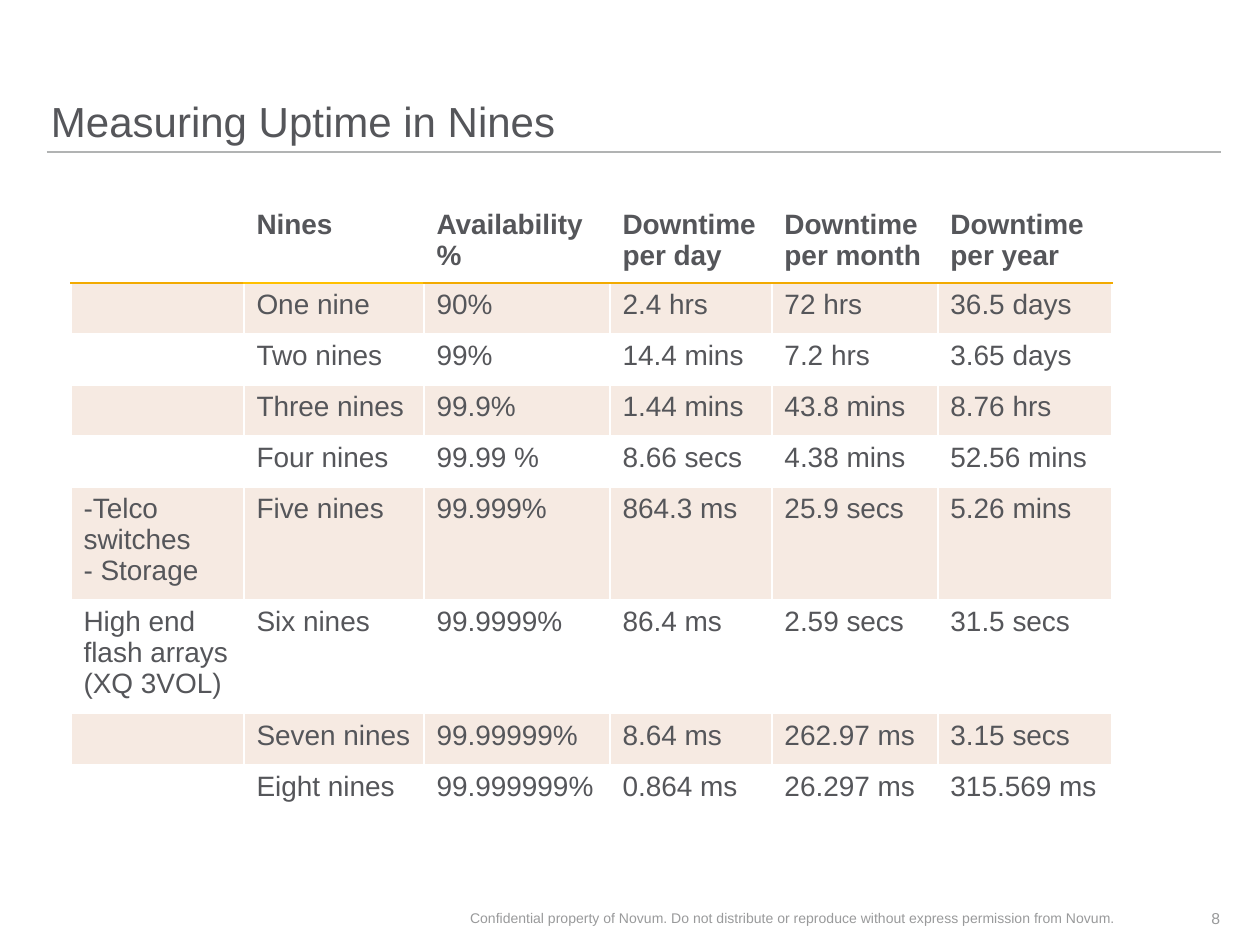
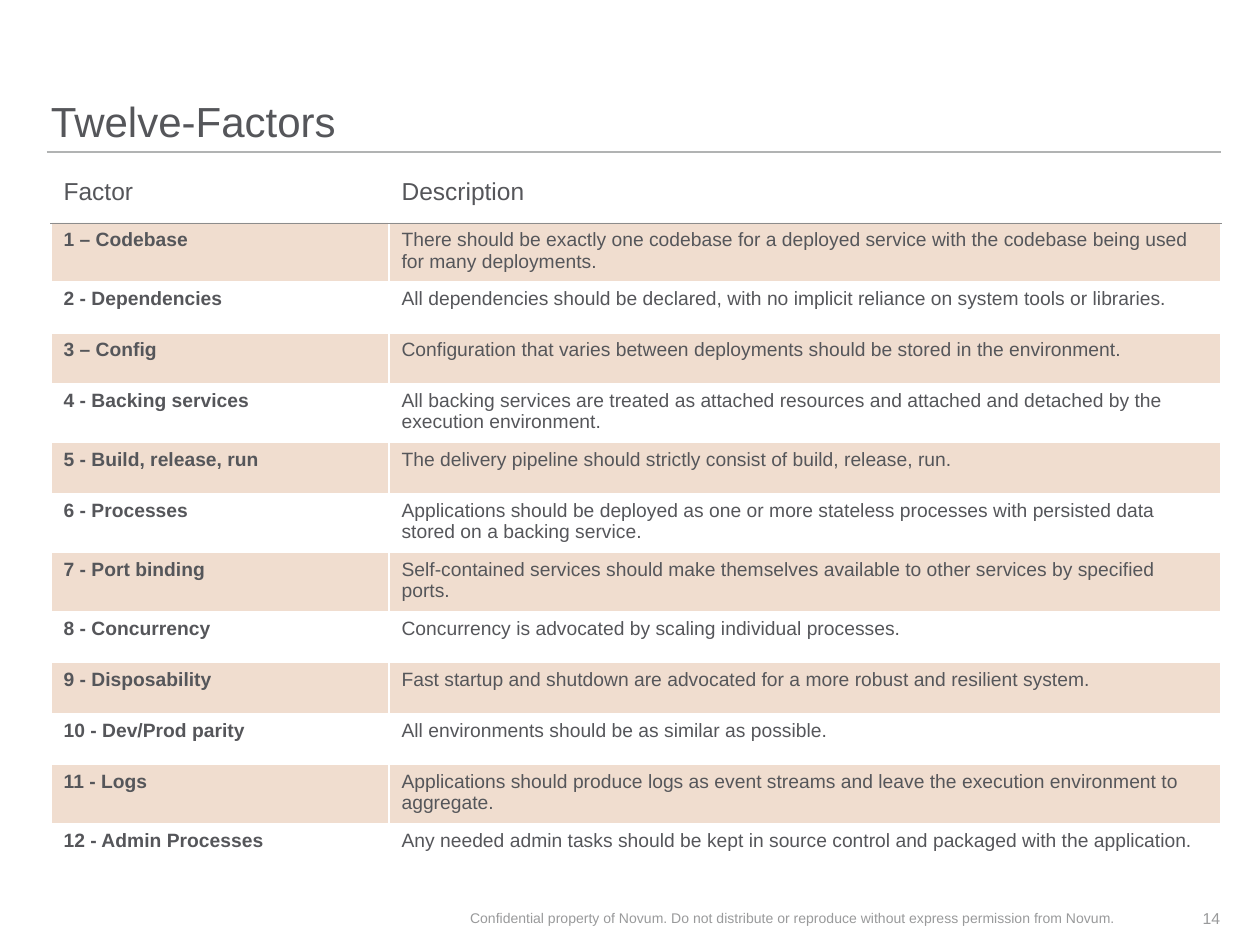
from lxml.etree import SubElement
from pptx import Presentation
from pptx.dml.color import RGBColor
from pptx.enum.shapes import MSO_CONNECTOR
from pptx.enum.text import MSO_ANCHOR, PP_ALIGN
from pptx.oxml.ns import qn
from pptx.util import Pt

SCALE = 914400 / 126
FONT = "Arial"
WHITE = RGBColor(0xFF, 0xFF, 0xFF)
INK = RGBColor(0x55, 0x56, 0x5A)
MUTED = RGBColor(0x99, 0x9A, 0x9B)
RULE = RGBColor(0xB1, 0xB3, 0xB3)
BAND = RGBColor(0xB5, 0x58, 0x13)
GOLD = RGBColor(0xF2, 0xAA, 0x00)
AMBER = RGBColor(0xFF, 0xC0, 0x00)
GREY = RGBColor(0x8C, 0x8C, 0x8C)

LEFT, RIGHT = 51, 1221
ROW = 51
NOTICE = ("Confidential property of Novum. Do not distribute or reproduce "
          "without express permission from Novum.")

NINES = [
    ["", "Nines", "Availability %", "Downtime per day", "Downtime per month",
     "Downtime per year"],
    ["", "One nine", "90%", "2.4 hrs", "72 hrs", "36.5 days"],
    ["", "Two nines", "99%", "14.4 mins", "7.2 hrs", "3.65 days"],
    ["", "Three nines", "99.9%", "1.44 mins", "43.8 mins", "8.76 hrs"],
    ["", "Four nines", "99.99 %", "8.66 secs", "4.38 mins", "52.56 mins"],
    ["-Telco switches\n- Storage", "Five nines", "99.999%", "864.3 ms",
     "25.9 secs", "5.26 mins"],
    ["High end flash arrays (XQ 3VOL)", "Six nines", "99.9999%", "86.4 ms",
     "2.59 secs", "31.5 secs"],
    ["", "Seven nines", "99.99999%", "8.64 ms", "262.97 ms", "3.15 secs"],
    ["", "Eight nines", "99.999999%", "0.864 ms", "26.297 ms", "315.569 ms"],
]

FACTORS = [
    ["Factor", "Description"],
    ["1 – Codebase", "There should be exactly one codebase for a deployed "
     "service with the codebase being used for many deployments."],
    ["2 - Dependencies", "All dependencies should be declared, with no "
     "implicit reliance on system tools or libraries."],
    ["3 – Config", "Configuration that varies between deployments should be "
     "stored in the environment."],
    ["4 - Backing services", "All backing services are treated as attached "
     "resources and attached and detached by the execution environment."],
    ["5 - Build, release, run", "The delivery pipeline should strictly "
     "consist of build, release, run."],
    ["6 - Processes", "Applications should be deployed as one or more "
     "stateless processes with persisted data stored on a backing service."],
    ["7 - Port binding", "Self-contained services should make themselves "
     "available to other services by specified ports."],
    ["8 - Concurrency", "Concurrency is advocated by scaling individual "
     "processes."],
    ["9 - Disposability", "Fast startup and shutdown are advocated for a "
     "more robust and resilient system."],
    ["10 - Dev/Prod parity", "All environments should be as similar as "
     "possible."],
    ["11 - Logs", "Applications should produce logs as event streams and "
     "leave the execution environment to aggregate."],
    ["12 - Admin Processes", "Any needed admin tasks should be kept in "
     "source control and packaged with the application."],
]


def px(n):
    return round(n * SCALE)


def style(frame, size, color, bold=False):
    for para in frame.paragraphs:
        for run in para.runs:
            font = run.font
            font.name, font.size, font.bold = FONT, Pt(size), bold
            font.color.rgb = color


def edge(cell, side, color, width=1):
    """Draw one border of a cell; call for L, R, T, B in that order."""
    line = SubElement(cell._tc.get_or_add_tcPr(), qn("a:ln" + side),
                      w=str(Pt(width)))
    fill = SubElement(line, qn("a:solidFill"))
    SubElement(fill, qn("a:srgbClr"), val=str(color))


def tint(cell, color, alpha=100):
    """Fill a cell, with alpha as percent opacity."""
    cell.fill.solid()
    cell.fill.fore_color.rgb = color
    if alpha < 100:
        node = cell._tc.tcPr.find(qn("a:solidFill")).find(qn("a:srgbClr"))
        SubElement(node, qn("a:alpha"), val=str(alpha * 1000))


class Deck:
    def __init__(self):
        self.prs = Presentation()
        self.prs.slide_width, self.prs.slide_height = px(1260), px(945)

    def page(self, title, number):
        """Start a slide with its title, rule and footer."""
        self.slide = self.prs.slides.add_slide(self.prs.slide_layouts[6])
        self.rule(47, RIGHT, 152)
        head = self.text(title, LEFT, 0, RIGHT - LEFT, 147, 24, INK,
                         anchor=MSO_ANCHOR.BOTTOM)
        head.paragraphs[0].line_spacing = 0.9
        self.text(NOTICE, 427, 893, 732, 50, 8, MUTED, PP_ALIGN.CENTER)
        self.text(str(number), 1164, 893, 56, 50, 9, MUTED, PP_ALIGN.RIGHT)

    def rule(self, start, end, y):
        line = self.slide.shapes.add_connector(
            MSO_CONNECTOR.STRAIGHT, px(start), px(y), px(end), px(y))
        line.line.color.rgb = RULE
        line.line.width = Pt(1)
        SubElement(line._element.spPr, qn("a:effectLst"))

    def text(self, words, x, y, w, h, size, color, align=PP_ALIGN.LEFT,
             anchor=MSO_ANCHOR.MIDDLE):
        box = self.slide.shapes.add_textbox(px(x), px(y), px(w), px(h))
        frame = box.text_frame
        frame.text = words
        frame.word_wrap = True
        frame.vertical_anchor = anchor
        frame.margin_left = frame.margin_right = 0
        frame.margin_top = frame.margin_bottom = 0
        frame.paragraphs[0].alignment = align
        style(frame, size, color)
        return frame

    def table(self, rows, x, y, cols, sizes, bold, lines, alpha, width=1):
        """Draw a banded table.

        sizes is (head, body); bold(row, col) picks the bold cells;
        lines holds the colour under the head for each column.
        """
        table = self.slide.shapes.add_table(
            len(rows), len(cols), px(x), px(y), px(sum(cols)),
            px(ROW * len(rows))).table
        table.first_row = table.horz_banding = False
        for col, wide in zip(table.columns, cols):
            col.width = px(wide)
        for r, row in enumerate(rows):
            table.rows[r].height = px(ROW)
            for c, words in enumerate(row):
                cell = table.cell(r, c)
                cell.text_frame.text = words
                style(cell.text_frame, sizes[min(r, 1)], INK, bold(r, c))
                for side in "LR":
                    edge(cell, side, WHITE)
                for side, head in (("T", 1), ("B", 0)):
                    if r == head:
                        edge(cell, side, lines[c], width)
                    else:
                        edge(cell, side, WHITE)
                if r % 2:
                    tint(cell, BAND, alpha)
                else:
                    tint(cell, WHITE)


def main():
    deck = Deck()
    deck.page("Measuring Uptime in Nines", 8)
    deck.table(NINES, 71, 203, [173, 180, 186, 162, 166, 174], (16, 16),
               lambda r, c: r == 0, [GOLD, AMBER] + [GOLD] * 4, 12)

    deck.page("Twelve-Factors", 14)
    deck.table(FACTORS, LEFT, 172, [338, 832], (14, 11),
               lambda r, c: r > 0 and c == 0, [GREY] * 2, 20, 0.5)
    deck.prs.save("out.pptx")


if __name__ == "__main__":
    main()
